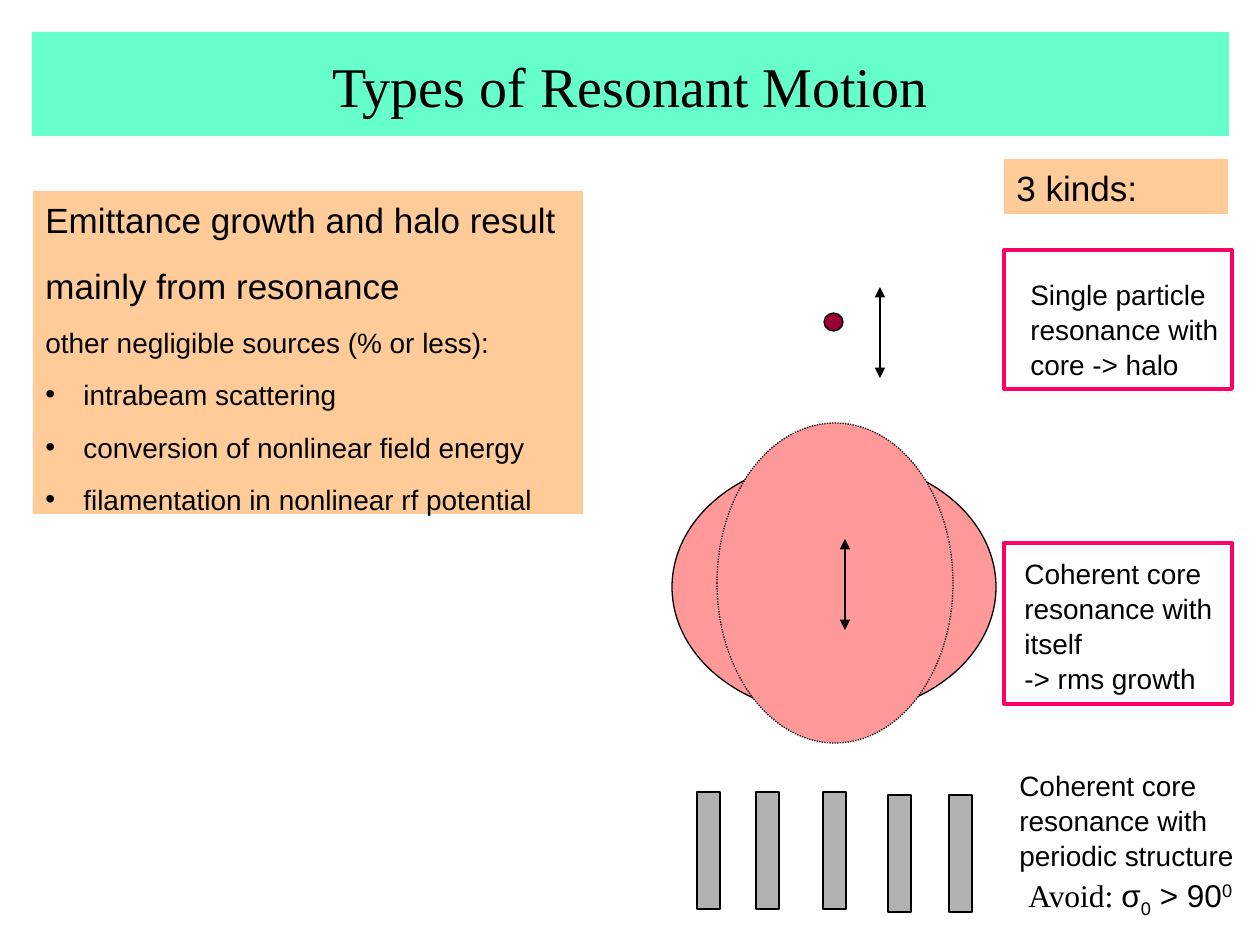
from dataclasses import dataclass

import pptx
import pptx.dml.color
import pptx.enum.dml
import pptx.enum.shapes
import pptx.enum.text
import pptx.oxml
import pptx.oxml.ns
import pptx.util

PX_PER_INCH = 126
LINE_SPACING = 1.04
COLORS = {
    "black": "000000", "title": "66FFCC", "panel": "FFCC99", "core": "FF9999",
    "particle": "990033", "bar": "B2B2B2", "frame": "FF0066",
}
SHAPE = pptx.enum.shapes.MSO_SHAPE


@dataclass
class Box:
    left: int
    top: int
    width: int
    height: int


@dataclass
class Figure:
    box: Box
    preset: int = SHAPE.RECTANGLE
    fill: str | None = None
    line: str | None = "black"
    weight: float = 0.75
    dotted: bool = False


@dataclass
class Run:
    text: str
    font: str = "Arial"
    baseline: int = 0


@dataclass
class Line:
    runs: list[Run]
    size: int = 16
    space_before: float = 0
    bullet: bool = False


def px(length: int) -> int:
    return pptx.util.Inches(length / PX_PER_INCH)


def rgb(name: str) -> pptx.dml.color.RGBColor:
    return pptx.dml.color.RGBColor.from_string(COLORS[name])


def place(box: Box) -> tuple[int, ...]:
    return px(box.left), px(box.top), px(box.width), px(box.height)


def draw_figure(slide, figure: Figure):
    shape = slide.shapes.add_shape(figure.preset, *place(figure.box))
    shape.shadow.inherit = False
    if figure.fill:
        shape.fill.solid()
        shape.fill.fore_color.rgb = rgb(figure.fill)
    else:
        shape.fill.background()
    if figure.line:
        shape.line.color.rgb = rgb(figure.line)
        shape.line.width = pptx.util.Pt(figure.weight)
        if figure.dotted:
            shape.line.dash_style = pptx.enum.dml.MSO_LINE.ROUND_DOT
    else:
        shape.line.fill.background()
    return shape


def draw_arrow(slide, x: int, top: int, bottom: int) -> None:
    """Draw a vertical arrow with a head at each end."""
    arrow = slide.shapes.add_connector(
        pptx.enum.shapes.MSO_CONNECTOR.STRAIGHT, px(x), px(top), px(x), px(bottom))
    arrow.line.color.rgb = rgb("black")
    arrow.line.width = pptx.util.Pt(0.75)
    outline = arrow.line._get_or_add_ln()
    for end in ("a:headEnd", "a:tailEnd"):
        pptx.oxml.ns.qn(end)
        head = pptx.oxml.parse_xml(f'<{end} {pptx.oxml.ns.nsdecls("a")} type="triangle"/>')
        outline.append(head)
    arrow._element.spPr.append(
        pptx.oxml.parse_xml(f'<a:effectLst {pptx.oxml.ns.nsdecls("a")}/>'))


def add_bullet(paragraph) -> None:
    properties = paragraph._p.get_or_add_pPr()
    properties.set("marL", str(px(38)))
    properties.set("indent", str(-px(38)))
    namespace = pptx.oxml.ns.nsdecls("a")
    properties.append(pptx.oxml.parse_xml(f'<a:buFont {namespace} typeface="Arial"/>'))
    properties.append(pptx.oxml.parse_xml(f'<a:buChar {namespace} char="•"/>'))


def write(shape, lines: list[Line], align=pptx.enum.text.PP_ALIGN.LEFT,
          anchor=pptx.enum.text.MSO_ANCHOR.TOP) -> None:
    frame = shape.text_frame
    frame.word_wrap = True
    frame.vertical_anchor = anchor
    frame.text = "\n".join("".join(run.text for run in line.runs) for line in lines)
    for paragraph, line in zip(frame.paragraphs, lines):
        paragraph.alignment = align
        paragraph.line_spacing = LINE_SPACING
        paragraph.space_before = pptx.util.Pt(line.space_before)
        if line.bullet:
            add_bullet(paragraph)
        if len(line.runs) > 1:
            paragraph.clear()
            for part in line.runs:
                run = paragraph.add_run()
                run.text = part.text
                if part.baseline:
                    run._r.get_or_add_rPr().set("baseline", str(part.baseline * 1000))
        fonts = [part.font for part in line.runs]
        for index, run in enumerate(paragraph.runs):
            run.font.name = fonts[min(index, len(fonts) - 1)]
            run.font.size = pptx.util.Pt(line.size)
            run.font.color.rgb = rgb("black")


def draw_label(slide, box: Box, lines: list[Line]) -> None:
    write(slide.shapes.add_textbox(*place(box)), lines)


def main() -> None:
    deck = pptx.Presentation()
    deck.slide_width = pptx.util.Inches(10)
    deck.slide_height = pptx.util.Inches(7.5)
    slide = deck.slides.add_slide(deck.slide_layouts[6])

    title = draw_figure(slide, Figure(Box(32, 32, 1197, 104), fill="title", line=None))
    write(title, [Line([Run("Types of Resonant Motion", "Times New Roman")], 32)],
          pptx.enum.text.PP_ALIGN.CENTER, pptx.enum.text.MSO_ANCHOR.MIDDLE)

    sources = draw_figure(slide, Figure(Box(33, 191, 550, 323), fill="panel", line=None))
    negligible = ("intrabeam scattering", "conversion of nonlinear field energy",
                  "filamentation in nonlinear rf potential")
    write(sources, [
        Line([Run("Emittance growth and halo result")], 20),
        Line([Run("mainly from resonance")], 20, 12.5),
        Line([Run("other negligible sources (% or less):")], space_before=10),
        *(Line([Run(source)], space_before=10, bullet=True) for source in negligible),
    ])

    draw_figure(slide, Figure(Box(672, 459, 324, 256), SHAPE.OVAL, "core"))
    draw_figure(slide, Figure(Box(824, 313, 19, 18), SHAPE.OVAL, "particle"))
    draw_arrow(slide, 880, 287, 378)
    draw_figure(slide, Figure(Box(717, 423, 236, 320), SHAPE.OVAL, "core", dotted=True))
    draw_arrow(slide, 845, 539, 630)

    for left, top in ((697, 792), (756, 792), (823, 792), (888, 795), (949, 795)):
        draw_figure(slide, Figure(Box(left, top, 23, 117), fill="bar"))

    draw_label(slide, Box(1018, 270, 242, 113),
               [Line([Run("Single particle")]), Line([Run("resonance with core -> halo")])])
    draw_label(slide, Box(1012, 549, 222, 147),
               [Line([Run("Coherent core resonance with itself\v-> rms growth")])])
    draw_label(slide, Box(1007, 761, 253, 113),
               [Line([Run("Coherent core resonance with periodic structure")])])
    draw_label(slide, Box(1016, 868, 244, 55), [Line([
        Run("Avoid: ", "Times New Roman"), Run("σ"), Run("0", baseline=-25),
        Run(" > 90"), Run("0", baseline=30)], 18)])

    for top, height in ((250, 139), (543, 161)):
        draw_figure(slide, Figure(Box(1004, top, 228, height), line="frame", weight=2.25))

    kinds = draw_figure(slide, Figure(Box(1004, 159, 224, 55), fill="panel", line=None))
    write(kinds, [Line([Run("3 kinds:")], 20)])

    deck.save("out.pptx")


if __name__ == "__main__":
    main()
